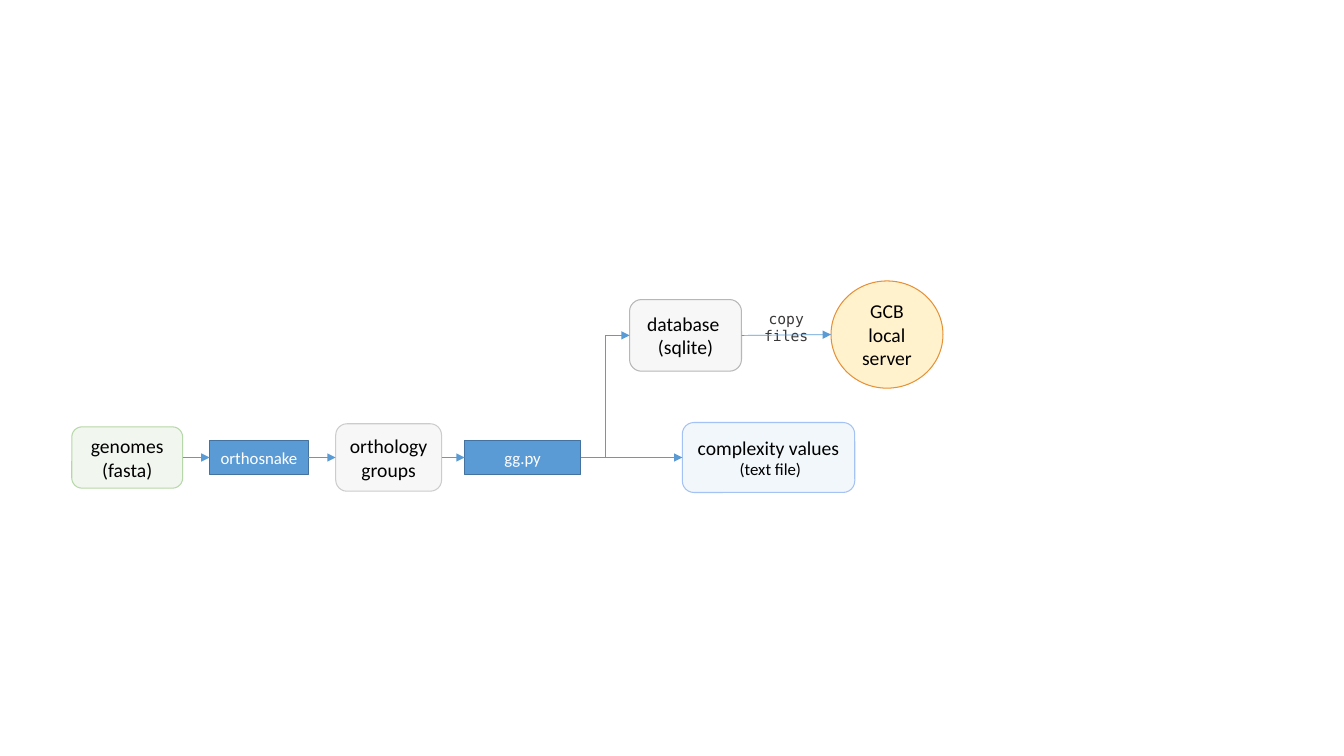
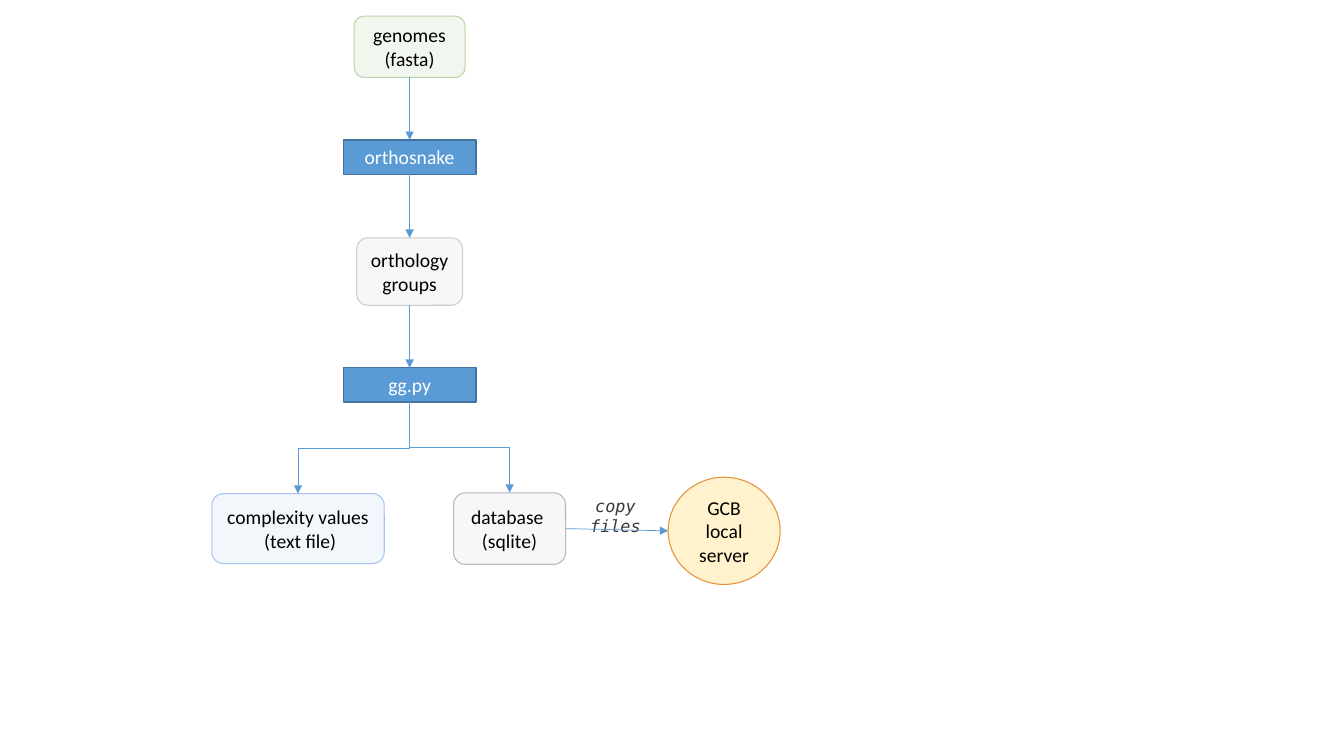
from pptx import Presentation
from pptx.dml.color import RGBColor
from pptx.enum import shapes, text
from pptx.oxml import ns
from pptx.oxml import xmlchemy
from pptx.util import Pt
from lxml import etree

GREEN, GREEN_EDGE = RGBColor(0xD9, 0xEA, 0xD3), RGBColor(0xB6, 0xD7, 0xA8)
GREY, GREY_EDGE = RGBColor(0xF7, 0xF7, 0xF7), RGBColor(0xCC, 0xCC, 0xCC)
DARK_EDGE = RGBColor(0xB7, 0xB7, 0xB7)
PALE_BLUE, PALE_BLUE_EDGE = RGBColor(0xDE, 0xEB, 0xF7), RGBColor(0xA4, 0xC2, 0xF4)
CREAM, ORANGE = RGBColor(0xFF, 0xF2, 0xCC), RGBColor(0xE6, 0x91, 0x38)
BLUE, BLUE_EDGE = RGBColor(0x5B, 0x9B, 0xD5), RGBColor(0x43, 0x73, 0x9E)
BLACK, WHITE = RGBColor(0, 0, 0), RGBColor(0xFF, 0xFF, 0xFF)
LABEL_GREY = RGBColor(0x3B, 0x38, 0x38)
BODY_FONT, CODE_FONT = "Calibri", "DejaVu Sans Mono"

ROUND = shapes.MSO_SHAPE.ROUNDED_RECTANGLE
OVAL = shapes.MSO_SHAPE.OVAL
TOP, LEFT, BOTTOM, RIGHT = range(4)
OVAL_LEFT = 2
TOOL_HEIGHT, LABEL_HEIGHT = 24.6, 23.8

DATA_NODES = {
    "genomes": ("genomes (fasta)", ROUND, 79.2, 43.8, GREEN, 35, GREEN_EDGE),
    "groups": ("orthology groups", ROUND, 75.6, 48.2, GREY, 100, GREY_EDGE),
    "database": ("database \v(sqlite)", ROUND, 80, 51.2, GREY, 100, DARK_EDGE),
    "values": ("complexity values\v (text file)", ROUND, 123.2, 50, PALE_BLUE, 40, PALE_BLUE_EDGE),
    "server": ("GCB local server", OVAL, 80, 76.6, CREAM, 100, ORANGE),
}
TOOLS = ("orthosnake", "gg.py")
CHAIN = ("genomes", "orthosnake", "groups", "gg.py")

ROW_Y, COLUMN_X = 326.8, 292.6
FLOWS = [
    {
        "centres": {"genomes": (90.9, ROW_Y), "groups": (277.6, ROW_Y), "database": (489.7, 239.6),
                    "values": (549, ROW_Y), "server": (633.6, 239),
                    "orthosnake": (185, ROW_Y), "gg.py": (373.3, ROW_Y)},
        "tool_widths": (70.6, 82.8), "tool_size": 12, "file_note_size": 12,
        "label": (561.6, 225.7, 59, 10.5, False),
        "exit": RIGHT, "entry": LEFT, "bent": ("database",),
    },
    {
        "centres": {"genomes": (COLUMN_X, 33.4), "groups": (COLUMN_X, 194), "database": (364, 377.6),
                    "values": (212.9, 377.6), "server": (517.3, 379.2),
                    "orthosnake": (COLUMN_X, 112.2), "gg.py": (COLUMN_X, 275)},
        "tool_widths": (94.6, 94.6), "tool_size": 14, "file_note_size": 14,
        "label": (439.6, 358.8, 68.4, 12, True),
        "exit": BOTTOM, "entry": TOP, "bent": ("values", "database"),
    },
]


def frame_around(centre, width, height):
    x, y = centre
    return Pt(x - width / 2), Pt(y - height / 2), Pt(width), Pt(height)


def write(box, words, font, size, colour, anchor, inset, italic=None):
    frame = box.text_frame
    frame.word_wrap = True
    frame.vertical_anchor = anchor
    frame.margin_left = frame.margin_right = Pt(7.2)
    frame.margin_top = frame.margin_bottom = Pt(inset)
    para = frame.paragraphs[0]
    para.text = words
    para.alignment = text.PP_ALIGN.CENTER
    for span in para.runs:
        span.font.name, span.font.size, span.font.italic = font, Pt(size), italic
        span.font.color.rgb = colour
    return para.runs


def add_box(page, kind, area, fill, opacity, edge, edge_width):
    box = page.shapes.add_shape(kind, *area)
    box.shadow.inherit = False
    box.fill.solid()
    box.fill.fore_color.rgb = fill
    if opacity < 100:
        colour = box.fill._xPr.find(".//" + ns.qn("a:srgbClr"))
        etree.SubElement(colour, ns.qn("a:alpha"), val=str(opacity * 1000))
    box.line.color.rgb = edge
    box.line.width = Pt(edge_width)
    return box


def side_point(box, side):
    x, y = box.left + box.width // 2, box.top + box.height // 2
    return {TOP: (x, box.top), LEFT: (box.left, y),
            BOTTOM: (x, box.top + box.height), RIGHT: (box.left + box.width, y)}[side]


def add_arrow(page, source, target, leave, enter, bent=False):
    x1, y1 = side_point(source, leave)
    x2, y2 = side_point(target, enter)
    turn = 0
    if bent and leave == BOTTOM:
        side = 1 if x2 > x1 else -1
        turn = 270 if side > 0 else 90
        x, y, run, drop = (x1 + x2) // 2, (y1 + y2) // 2, abs(x2 - x1) // 2, (y2 - y1) // 2
        x1, y1, x2, y2 = x + side * drop, y - run, x - side * drop, y + run
    kind = shapes.MSO_CONNECTOR.ELBOW if bent else shapes.MSO_CONNECTOR.STRAIGHT
    arrow = page.shapes.add_connector(kind, x1, y1, x2, y2)
    arrow.begin_connect(source, leave)
    arrow.end_connect(target, OVAL_LEFT if target.auto_shape_type == OVAL else enter)
    arrow.begin_x, arrow.begin_y, arrow.end_x, arrow.end_y = x1, y1, x2, y2
    arrow.line.color.rgb = BLUE
    arrow.line.width = Pt(0.5)
    properties = arrow._element.spPr
    if turn:
        properties.find(ns.qn("a:xfrm")).set("rot", str(turn * 60000))
    etree.SubElement(properties.find(ns.qn("a:ln")), ns.qn("a:tailEnd"), type="triangle")
    etree.SubElement(properties, ns.qn("a:effectLst"))


def draw_flow(page, flow):
    centres, boxes = flow["centres"], {}
    for name, (words, kind, width, height, fill, opacity, edge) in DATA_NODES.items():
        area = frame_around(centres[name], width, height)
        box = boxes[name] = add_box(page, kind, area, fill, opacity, edge, 0.75)
        spans = write(box, words, BODY_FONT, 14, BLACK, text.MSO_ANCHOR.MIDDLE, 7.2)
        if name == "values":
            spans[-1].font.size = Pt(flow["file_note_size"])

    x, y, width, size, italic = flow["label"]
    label = page.shapes.add_textbox(*frame_around((x, y), width, LABEL_HEIGHT))
    write(label, "copy files", CODE_FONT, size, LABEL_GREY, text.MSO_ANCHOR.TOP, 7.2, italic)

    for name, width in zip(TOOLS, flow["tool_widths"]):
        area = frame_around(centres[name], width, TOOL_HEIGHT)
        box = boxes[name] = add_box(page, shapes.MSO_SHAPE.RECTANGLE, area, BLUE, 100, BLUE_EDGE, 1)
        write(box, name, BODY_FONT, flow["tool_size"], WHITE, text.MSO_ANCHOR.MIDDLE, 3.6)

    for source, target in zip(CHAIN, CHAIN[1:]):
        add_arrow(page, boxes[source], boxes[target], flow["exit"], flow["entry"])
    for target in ("values", "database"):
        add_arrow(page, boxes["gg.py"], boxes[target], flow["exit"], flow["entry"], target in flow["bent"])
    add_arrow(page, boxes["database"], boxes["server"], RIGHT, LEFT)


deck = Presentation()
deck.slide_width, deck.slide_height = Pt(960), Pt(540)
for flow in FLOWS:
    draw_flow(deck.slides.add_slide(deck.slide_layouts[6]), flow)
deck.save("out.pptx")
